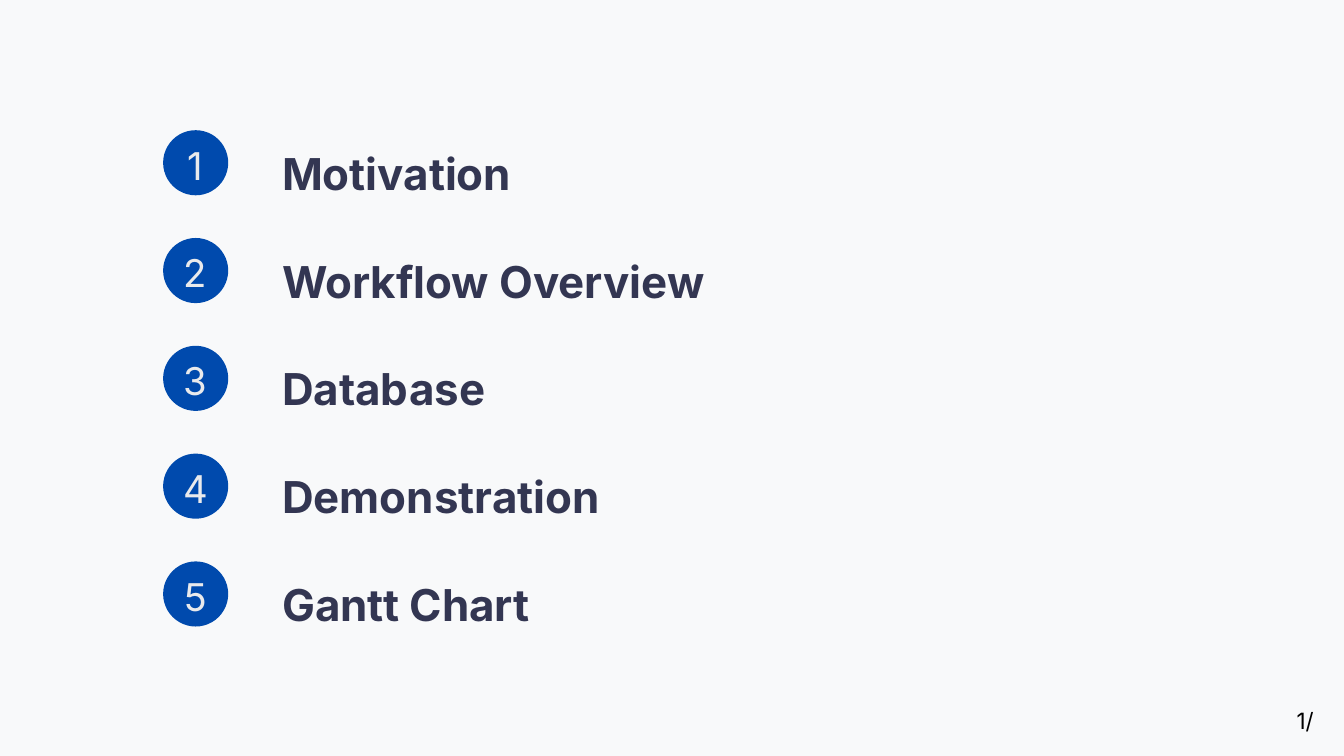
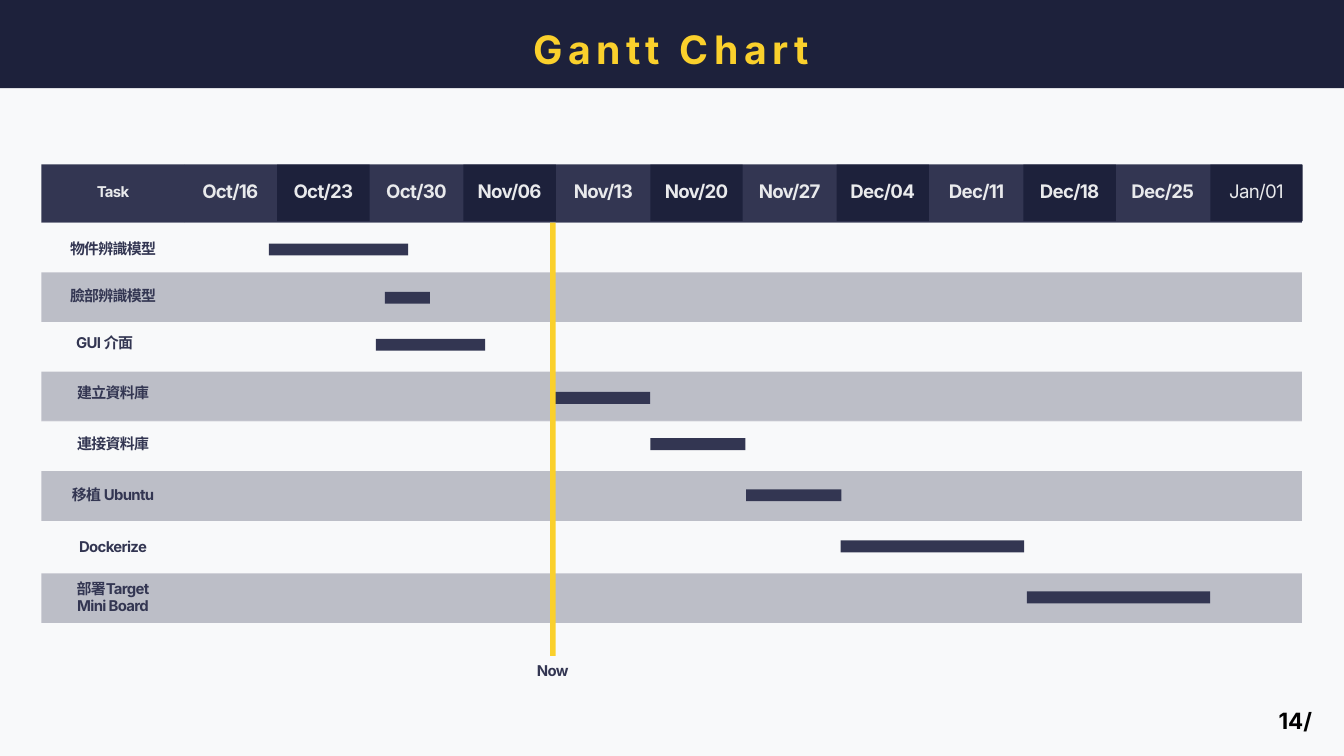
from lxml.etree import SubElement
from pptx import Presentation
from pptx.dml.color import RGBColor
from pptx.enum.shapes import MSO_SHAPE as Shape
from pptx.enum.text import PP_ALIGN as Align
from pptx.oxml.ns import qn
from pptx.util import Pt

PX = 9525  # EMU per px, 96 px to the inch
FONT = "Inter"
PAPER = RGBColor(0xF8, 0xF9, 0xFA)
SLATE = RGBColor(0x33, 0x36, 0x52)
NAVY = RGBColor(0x1D, 0x21, 0x3B)
BLUE = RGBColor(0x00, 0x4A, 0xAD)
YELLOW = RGBColor(0xFA, 0xD0, 0x2C)
PALE = RGBColor(0xE9, 0xEA, 0xEC)
BLACK = RGBColor(0, 0, 0)


def add_text(slide, text, left, top, width, height, *, size=16, leading=18,
             color=SLATE, bold=True, align=Align.CENTER, spacing=0, wrap=True):
    box = slide.shapes.add_textbox(left * PX, top * PX, width * PX, height * PX)
    frame = box.text_frame
    frame.margin_left = frame.margin_top = frame.margin_right = frame.margin_bottom = 0
    frame.word_wrap = wrap
    frame.text = text
    for paragraph in frame.paragraphs:
        paragraph.alignment = align
        paragraph.line_spacing = Pt(leading)
        for run in paragraph.runs:
            run.font.size = Pt(size)
            run.font.bold = bold
            run.font.color.rgb = color
            run.font.name = FONT
            props = run.font._element
            SubElement(props, qn("a:ea"), typeface=FONT)
            if spacing:
                props.set("spc", str(round(spacing * 100)))


def add_block(slide, left, top, width, height, color, kind=Shape.RECTANGLE, opacity=100):
    block = slide.shapes.add_shape(kind, left * PX, top * PX, width * PX, height * PX)
    block.shadow.inherit = False
    block.fill.solid()
    block.fill.fore_color.rgb = color
    block.line.fill.background()
    if opacity < 100:
        tint = block._element.spPr.find(qn("a:solidFill"))[0]
        SubElement(tint, qn("a:alpha"), val=str(opacity * 1000))


deck = Presentation()
deck.slide_width = 1920 * PX
deck.slide_height = 1080 * PX
agenda, gantt = [deck.slides.add_slide(deck.slide_layouts[6]) for _ in range(2)]

# Shared background and page numbers
for slide, page, left, width, bold in [(agenda, "1/", 1850, 29, False),
                                       (gantt, "14/", 1820, 61, True)]:
    slide.background.fill.solid()
    slide.background.fill.fore_color.rgb = PAPER
    add_text(slide, page, left, 1003, width, 43, size=24, leading=34,
             color=BLACK, bold=bold, wrap=False)

# Agenda: numbered topics
topics = ["Motivation", "Workflow Overview", "Database", "Demonstration", "Gantt Chart"]
for index, topic in enumerate(topics):
    drop = index * 154
    add_text(agenda, topic, 403, 159 + drop, 879, 114, size=47, leading=94, align=Align.LEFT)
    add_block(agenda, 233, 186 + drop, 93, 93, BLUE, Shape.OVAL)
    add_text(agenda, str(index + 1), 247, 183 + drop, 65, 81, size=41, leading=64,
             color=PALE, bold=False)

# Gantt: title band
add_block(gantt, 0, 0, 1920, 126, NAVY)
add_text(gantt, "Gantt Chart", 483, 6, 952, 91, size=42, leading=73,
         color=YELLOW, spacing=5.8)

# Header row: task cell, then weeks with every second one darker
TABLE_LEFT, WEEKS_LEFT, HEADER_TOP = 59, 263, 235
add_block(gantt, TABLE_LEFT, HEADER_TOP, 204, 83, SLATE)
add_text(gantt, "Task", 72, 263, 179, 24, color=PALE, spacing=-0.7)
add_block(gantt, WEEKS_LEFT, HEADER_TOP, 1597, 83, SLATE)
weeks = ["Oct/16", "Oct/23", "Oct/30", "Nov/06", "Nov/13", "Nov/20",
         "Nov/27", "Dec/04", "Dec/11", "Dec/18", "Dec/25", "Jan/01"]
for index, week in enumerate(weeks):
    left = WEEKS_LEFT + index * 1466 // 11
    if index % 2:
        add_block(gantt, left, HEADER_TOP, 132, 81, NAVY)
    add_text(gantt, week, left, 258, 132, 31, size=20, leading=23, color=PALE,
             bold=week != "Jan/01", spacing=-0.8)

# Task rows: name, row top, label left and top, bar left, top and width
tasks = [
    ("物件辨識模型", 318, 72, 344, 384, 348, 199),
    ("臉部辨識模型", 389, 72, 411, 550, 417, 64),
    ("GUI 介面", 460, 60, 478, 537, 484, 156),
    ("建立資料庫", 531, 72, 549, 793, 560, 136),
    ("連接資料庫", 601, 72, 622, 929, 626, 136),
    ("移植 Ubuntu", 673, 72, 696, 1066, 699, 136),
    ("Dockerize", 746, 72, 769, 1201, 772, 262),
    ("部署Target\nMini Board", 819, 72, 830, 1467, 845, 262),
]
for index, (task, row_top, label_left, label_top, start, bar_top, length) in enumerate(tasks):
    add_block(gantt, TABLE_LEFT, row_top, 1801, 71, SLATE if index % 2 else PAPER, opacity=30)
    add_text(gantt, task, label_left, label_top, 179, 48 if "\n" in task else 27, spacing=-0.7)
    add_block(gantt, start, bar_top, length, 17, SLATE)

# Current date marker
add_block(gantt, 786, 318, 8, 619, YELLOW)
add_text(gantt, "Now", 700, 946, 179, 24, spacing=-0.7)

deck.save("out.pptx")
